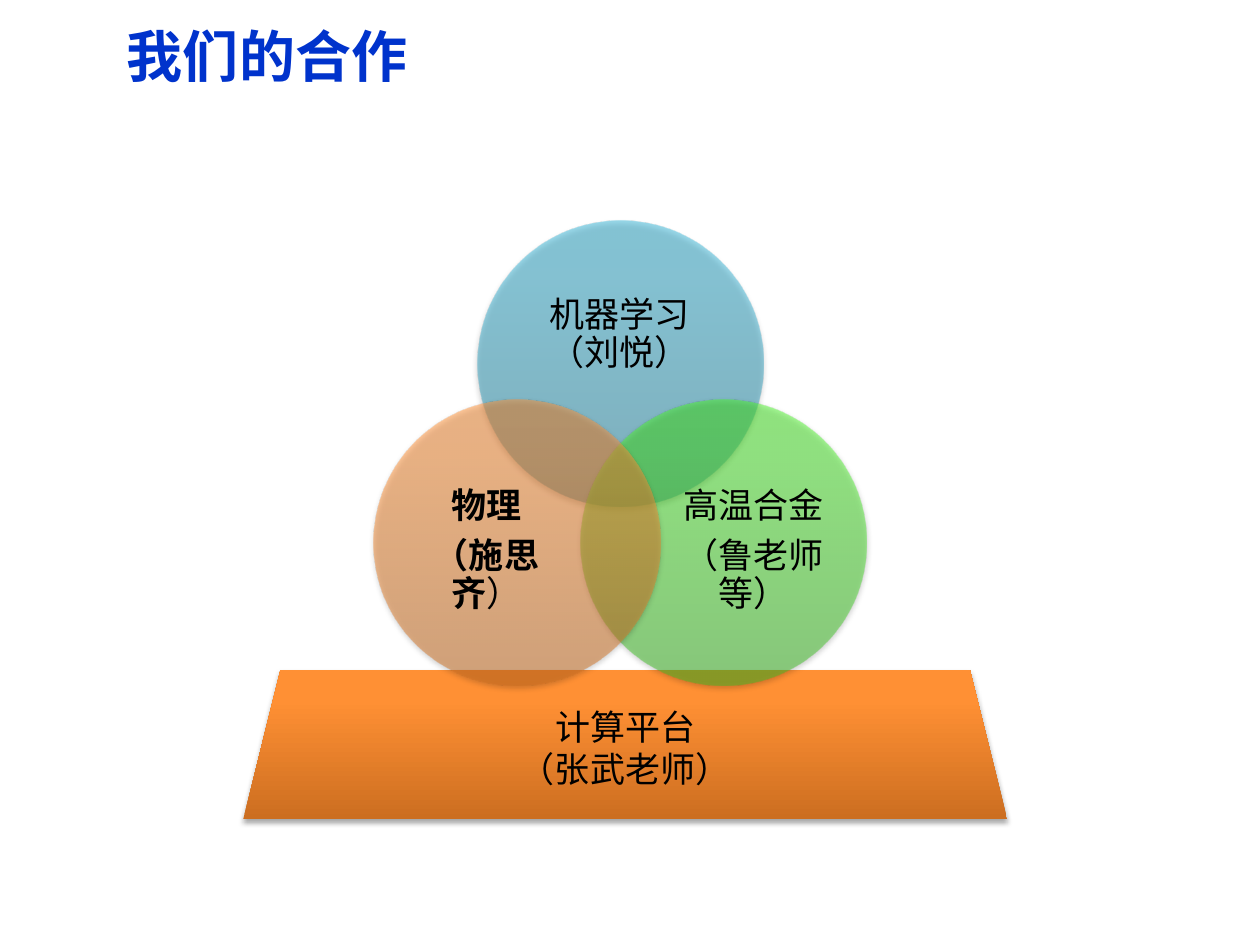
"""Build a slide with three overlapping circles standing on a platform."""
from lxml import etree
from pptx import Presentation
from pptx import util as u
from pptx.dml.color import RGBColor
from pptx.enum import shapes, text
from pptx.oxml.ns import qn

Pt = u.Pt
BLACK = RGBColor(0x00, 0x00, 0x00)
TITLE_BLUE = RGBColor(0x00, 0x33, 0xCC)
ORANGE = [RGBColor(0xCC, 0x6E, 0x20), RGBColor(0xFF, 0x90, 0x34), RGBColor(0xFF, 0x91, 0x36)]
BLUE = [RGBColor(0x2A, 0x88, 0xA2), RGBColor(0x37, 0xB1, 0xD2), RGBColor(0x34, 0xB4, 0xD6)]
GREEN = [RGBColor(0x3C, 0xB9, 0x23), RGBColor(0x4E, 0xF0, 0x2E), RGBColor(0x4C, 0xF5, 0x2A)]
STOPS = (0, 80, 100)
CJK_FONT = "Noto Sans CJK SC"
DIAMETER = 163.5


def add_color(parent, color, alpha):
    """Append a colour with an opacity in percent."""
    clr = etree.SubElement(parent, qn("a:srgbClr"), val=str(color))
    if alpha < 100:
        etree.SubElement(clr, qn("a:alpha"), val=str(alpha * 1000))


def add_solid(parent, kind, box, colors, alpha=100):
    """Add a shape with a vertical gradient and a soft shadow."""
    sp = parent.add_shape(kind, *map(Pt, box))
    sp.fill.gradient()
    sp.fill.gradient_angle = 90
    stops = sp._element.spPr.find(".//" + qn("a:gsLst"))
    for old in list(stops):
        stops.remove(old)
    for pos, color in zip(STOPS, colors):
        add_color(etree.SubElement(stops, qn("a:gs"), pos=str(pos * 1000)), color, alpha)
    sp.line.fill.background()
    sp.shadow.inherit = False
    effects = sp._element.spPr.find(qn("a:effectLst"))
    shadow = etree.SubElement(effects, qn("a:outerShdw"), blurRad=str(Pt(3.1)),
                              dist=str(Pt(1.8)), dir="5400000", rotWithShape="0")
    add_color(shadow, BLACK, 35)
    return sp


def format_run(r, size, font, color, bold=False):
    """Set the typeface, size, colour and weight of a run."""
    r.font.size, r.font.name, r.font.bold = Pt(size), font, bold
    r.font.color.rgb = color
    etree.SubElement(r.font._element, qn("a:ea"), typeface=CJK_FONT)


def write_lines(sp, lines, bold=False):
    """Write centred black paragraphs in the middle of a shape."""
    tf = sp.text_frame
    tf.word_wrap = True
    tf.vertical_anchor = text.MSO_ANCHOR.MIDDLE
    tf.text = "\n".join(lines)
    for p in tf.paragraphs:
        p.alignment = text.PP_ALIGN.CENTER
        for r in p.runs:
            format_run(r, 20, "Calibri", BLACK, bold)


def add_label(parent, box, lines, bold=False):
    """Add a tightly spaced label without insets."""
    sp = parent.add_textbox(*map(Pt, box))
    tf = sp.text_frame
    tf.margin_left = tf.margin_top = tf.margin_right = tf.margin_bottom = 0
    write_lines(sp, lines, bold)
    for p in tf.paragraphs:
        p.line_spacing = 0.9
        p.space_after = Pt(7)
    return sp


def add_circle(parent, left, top, colors):
    """Add one translucent circle."""
    add_solid(parent, shapes.MSO_SHAPE.OVAL, (left, top, DIAMETER, DIAMETER), colors, 50)


def add_title(s, words):
    """Add the slide title."""
    sp = s.shapes.add_textbox(Pt(65.5), Pt(0), Pt(648), Pt(62.6))
    tf = sp.text_frame
    tf.word_wrap = True
    tf.vertical_anchor = text.MSO_ANCHOR.MIDDLE
    tf.text = words
    format_run(tf.paragraphs[0].runs[0], 32, CJK_FONT, TITLE_BLUE, True)


def main():
    """Build and save the slide."""
    prs = Presentation()
    prs.slide_width, prs.slide_height = Pt(720), Pt(540)
    s = prs.slides.add_slide(prs.slide_layouts[6])

    platform = add_solid(s.shapes, shapes.MSO_SHAPE.TRAPEZOID, (139, 383, 436.5, 85), ORANGE)
    write_lines(platform, ["计算平台", "（张武老师）"])
    add_title(s, "我们的合作")

    venn = s.shapes.add_group_shape().shapes
    add_circle(venn, 272.8, 126, BLUE)
    add_label(venn, (294.5, 154.8, 119.5, 73.5), ["机器学习（刘悦）"])
    add_circle(venn, 331.8, 228.2, GREEN)
    add_label(venn, (381.6, 270, 98, 90), ["高温合金", "（鲁老师等）"])
    add_circle(venn, 213.8, 228.2, ORANGE)
    physics = add_label(venn, (229, 270, 98, 90), ["物理", "（施思齐"], True)
    r = physics.text_frame.paragraphs[1].add_run()
    r.text = "）"
    format_run(r, 20, "Calibri", BLACK)

    prs.save("out.pptx")


if __name__ == "__main__":
    main()
